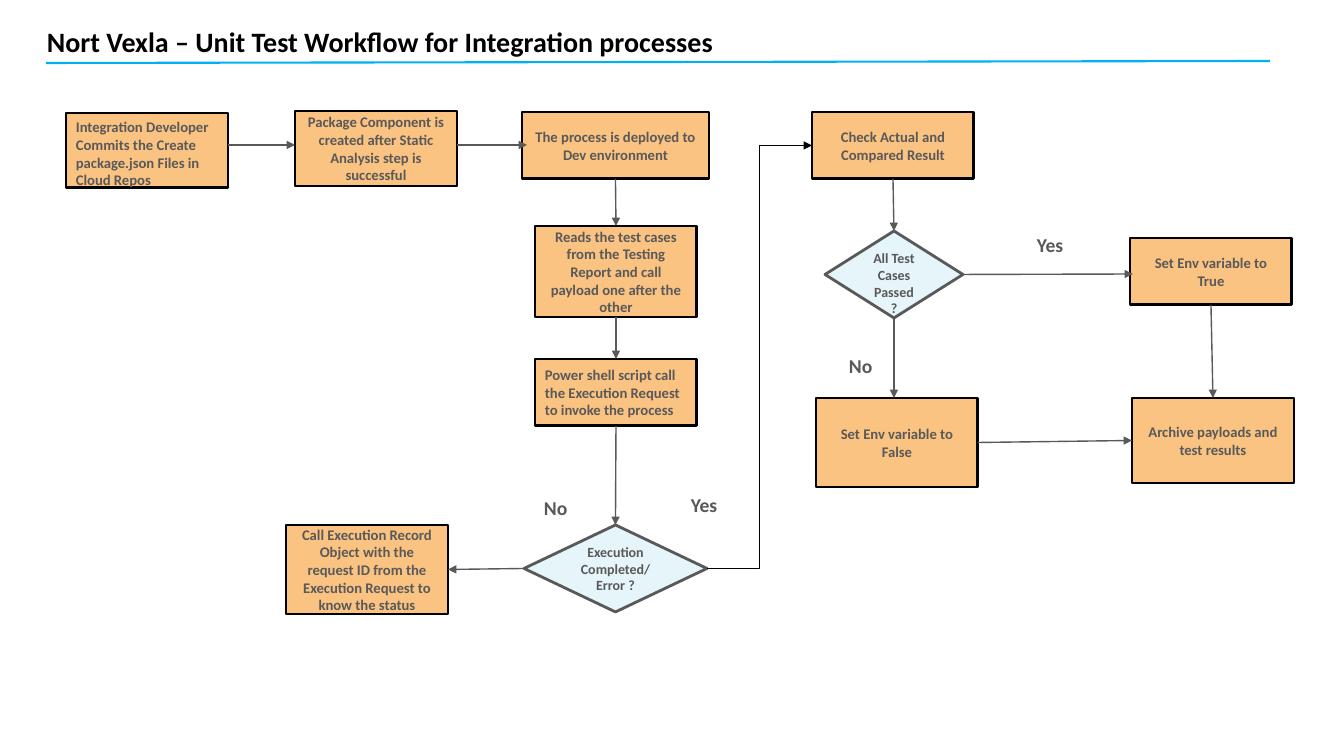
from lxml.etree import SubElement
from pptx import Presentation
from pptx.dml.color import RGBColor
from pptx.enum.shapes import MSO_CONNECTOR, MSO_SHAPE
from pptx.enum.text import MSO_ANCHOR, PP_ALIGN
from pptx.oxml.ns import qn
from pptx.util import Emu, Pt

COLORS = {
    "black": "000000",
    "gray": "595959",
    "step": "FBC382",
    "decision": "E6F5FA",
    "rule": "00B0F0",
}
TOP, LEFT, BOTTOM, RIGHT = range(4)


def px(length):
    return Emu(round(length * 914400 / 100.8))


def color(name):
    return RGBColor.from_string(COLORS[name])


class Workflow:
    """Draws the elements of a flowchart on one slide."""

    font = "Calibri"

    def __init__(self, slide):
        self.shapes = slide.shapes

    def set_text(self, frame, text, size, tint="gray", align=PP_ALIGN.LEFT):
        frame.word_wrap = True
        paragraph = frame.paragraphs[0]
        paragraph.text = text
        paragraph.alignment = align
        font = paragraph.font
        font.name, font.size, font.bold = self.font, Pt(size), True
        font.color.rgb = color(tint)

    def label(self, text, x, y, w=49, h=34, size=14, tint="gray"):
        box = self.shapes.add_textbox(px(x), px(y), px(w), px(h))
        self.set_text(box.text_frame, text, size, tint)

    def node(self, kind, text, x, y, w, h, fill, line, size, align, drop):
        shape = self.shapes.add_shape(kind, px(x), px(y), px(w), px(h))
        shape.shadow.inherit = False
        shape.fill.solid()
        shape.fill.fore_color.rgb = color(fill)
        shape.line.color.rgb = color(line)
        shape.line.width = Pt(2)
        frame = shape.text_frame
        frame.vertical_anchor = MSO_ANCHOR.MIDDLE
        frame.margin_top = px(5 + drop)
        self.set_text(frame, text, size, align=align)
        return shape

    def step(self, text, x, y, h, w=162, align=PP_ALIGN.CENTER, drop=0):
        return self.node(MSO_SHAPE.RECTANGLE, text, x, y, w, h,
                         "step", "black", 10.5, align, drop)

    def decision(self, text, x, y, w, h, drop=0):
        return self.node(MSO_SHAPE.DIAMOND, text, x, y, w, h,
                         "decision", "gray", 10, PP_ALIGN.CENTER, drop)

    def line(self, start, end, tint, width=1.0, kind=MSO_CONNECTOR.STRAIGHT):
        connector = self.shapes.add_connector(
            kind, px(start[0]), px(start[1]), px(end[0]), px(end[1]))
        connector.line.color.rgb = color(tint)
        connector.line.width = Pt(width)
        SubElement(connector._element.spPr, qn("a:effectLst"))
        return connector

    def arrow(self, start, end, tint="gray", kind=MSO_CONNECTOR.STRAIGHT):
        """Each end is a point in px or a (shape, side) pair."""
        start_is_point = isinstance(start[0], int)
        end_is_point = isinstance(end[0], int)
        connector = self.line(start if start_is_point else (0, 0),
                              end if end_is_point else (0, 0), tint, kind=kind)
        if not start_is_point:
            connector.begin_connect(*start)
        if not end_is_point:
            connector.end_connect(*end)
        outline = connector._element.spPr.find(qn("a:ln"))
        SubElement(outline, qn("a:tailEnd"), type="triangle")


def main():
    deck = Presentation()
    deck.slide_width, deck.slide_height = px(1344), px(756)
    flow = Workflow(deck.slides.add_slide(deck.slide_layouts[6]))

    # Title and rule
    flow.label("Nort Vexla – Unit Test Workflow for Integration processes",
               37, 20, 759, 44, size=20, tint="black")
    flow.line((46, 63), (1270, 61), "rule", 1.5)

    # Steps up to the execution request
    flow.step("Integration Developer Commits the Create package.json Files "
              "in Cloud Repos", 66, 113, 75, align=PP_ALIGN.LEFT, drop=6)
    flow.step("Package Component is created after Static Analysis step is "
              "successful", 295, 111, 75)
    deploy = flow.step("The process is deployed to Dev environment",
                       522, 112, 67, w=187)
    read_cases = flow.step("Reads the test cases from the Testing Report and "
                           "call payload one after the other", 535, 226, 91)
    invoke = flow.step("Power shell script call the Execution Request to "
                       "invoke the process", 535, 359, 67, align=PP_ALIGN.LEFT)
    completed = flow.decision("Execution Completed/ Error ?", 524, 525, 183, 87)
    record = flow.step("Call Execution Record Object with the request ID from "
                       "the Execution Request to know the status", 286, 525, 89)

    # Checking the result
    check = flow.step("Check Actual and Compared Result", 812, 112, 67)
    passed = flow.decision("All Test Cases Passed ?", 825, 231, 138, 87, drop=17)
    set_true = flow.step("Set Env variable to True", 1130, 238, 67)
    set_false = flow.step("Set Env variable to False", 816, 398, 89)
    archive = flow.step("Archive payloads and test results", 1132, 398, 85)

    # Arrows
    for start, end in (
        ((228, 145), (295, 145)),
        ((457, 145), (527, 145)),
        ((deploy, BOTTOM), (read_cases, TOP)),
        ((read_cases, BOTTOM), (invoke, TOP)),
        ((invoke, BOTTOM), (completed, TOP)),
        ((completed, LEFT), (record, RIGHT)),
        ((check, BOTTOM), (passed, TOP)),
        ((passed, BOTTOM), (894, 398)),
        ((passed, RIGHT), (1133, 274)),
        ((set_true, BOTTOM), (archive, TOP)),
        ((set_false, RIGHT), (archive, LEFT)),
    ):
        flow.arrow(start, end)
    flow.arrow((completed, RIGHT), (check, LEFT), "black", MSO_CONNECTOR.ELBOW)

    # Answers beside the decisions
    for answer, x, y in (("No", 534, 491), ("Yes", 681, 488),
                         ("No", 839, 349), ("Yes", 1027, 228)):
        flow.label(answer, x, y)

    deck.save("out.pptx")


if __name__ == "__main__":
    main()
